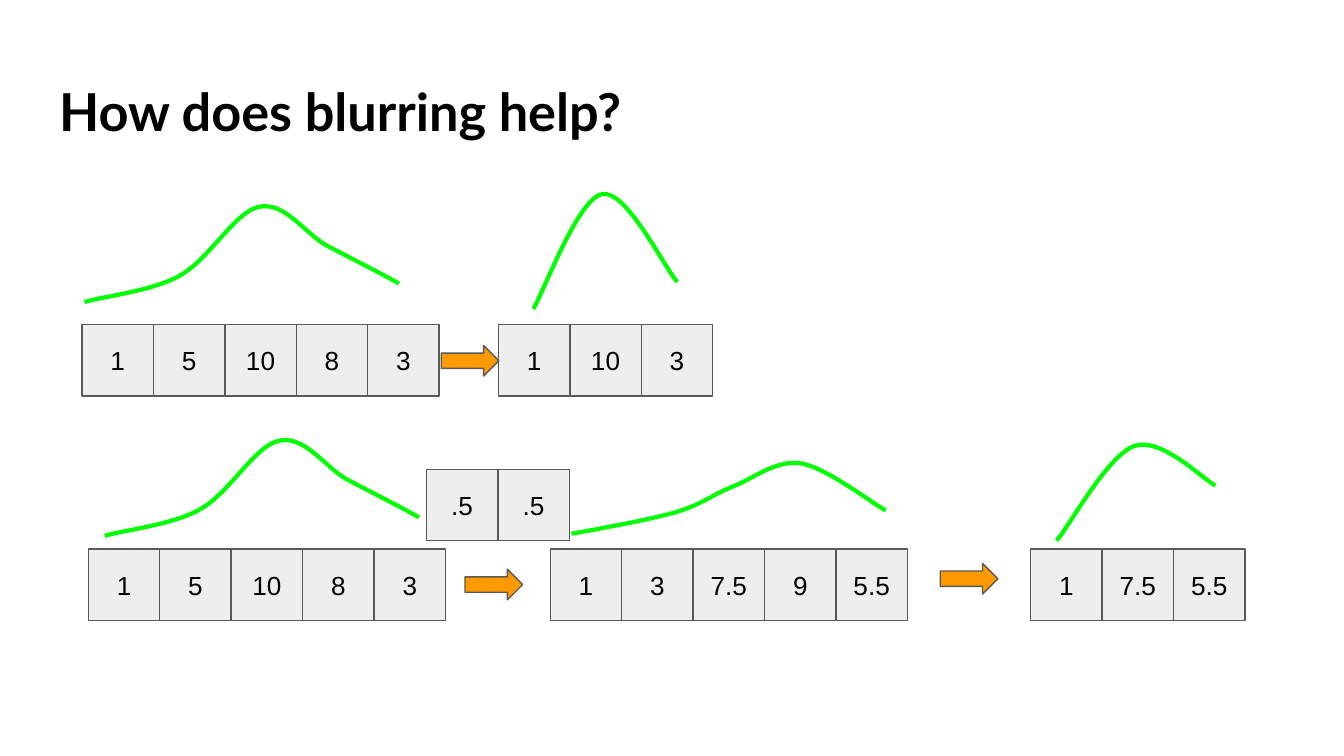
from lxml.etree import SubElement
from pptx import Presentation
from pptx.dml.color import RGBColor
from pptx.enum.shapes import MSO_SHAPE
from pptx.enum.text import MSO_ANCHOR, PP_ALIGN
from pptx.oxml.ns import qn
from pptx.util import Cm, Pt

CELL = 1.35
INSET = Cm(0.25)
FRAME = {"margin_left": INSET, "margin_right": INSET, "margin_top": INSET,
         "margin_bottom": INSET, "word_wrap": True}
TITLE_FONT = {"name": "Lato", "size": Pt(28), "bold": True}
CELL_FONT = {"name": "Arial", "size": Pt(14)}

SIGNAL = [1, 5, 10, 8, 3]
ROWS = [
    (1.55, 6.14, SIGNAL),
    (9.42, 6.14, [1, 10, 3]),
    (1.67, 10.38, SIGNAL),
    (8.06, 8.87, [".5", ".5"]),
    (10.4, 10.38, [1, 3, 7.5, 9, 5.5]),
    (19.48, 10.38, [1, 7.5, 5.5]),
]
ARROWS = [(8.34, 6.53), (8.79, 10.76), (17.77, 10.65)]

SIGNAL_CURVE = [(1.6, 5.71), (1.9, 5.61), (2.87, 5.51), (3.4, 5.21),
                (3.96, 4.9), (4.45, 3.99), (4.9, 3.91),
                (5.38, 3.81), (5.74, 4.39), (6.17, 4.64),
                (6.63, 4.88), (7.32, 5.23), (7.54, 5.36)]
SAMPLED_CURVE = [(10.08, 5.84), (10.29, 5.49), (10.92, 3.76), (11.38, 3.67),
                 (11.84, 3.58), (12.55, 5.05), (12.8, 5.33)]
BLURRED_CURVE = [(10.8, 10.09), (11.13, 10.03), (12.27, 9.83), (12.78, 9.68),
                 (13.28, 9.53), (13.46, 9.35), (13.87, 9.19),
                 (14.25, 9.04), (14.66, 8.69), (15.14, 8.76),
                 (15.62, 8.84), (16.46, 9.5), (16.74, 9.65)]
BLURRED_SAMPLED_CURVE = [(19.97, 10.22), (20.22, 9.93), (20.93, 8.61), (21.44, 8.43),
                         (21.95, 8.26), (22.71, 9.04), (22.97, 9.18)]


def color(value):
    """Return the colour of a hex string."""
    return RGBColor.from_string(value)


def apply(obj, values):
    """Set each attribute of obj from a dict."""
    for name, value in values.items():
        setattr(obj, name, value)


def set_line(sp, value, width):
    """Give a shape its outline and no shadow."""
    sp.shadow.inherit = False
    sp.line.color.rgb = color(value)
    sp.line.width = Pt(width)


def write(sp, text, font, align=PP_ALIGN.LEFT, anchor=MSO_ANCHOR.TOP):
    """Write one black paragraph into a shape."""
    tf = sp.text_frame
    apply(tf, {**FRAME, "vertical_anchor": anchor})
    p = tf.paragraphs[0]
    p.alignment = align
    r = p.add_run()
    r.text = text
    apply(r.font, font)
    r.font.color.rgb = color("000000")


def add_title(s, text):
    """Add the slide title."""
    sp = s.shapes.add_textbox(Cm(0.87), Cm(1.24), Cm(23.67), Cm(1.6))
    write(sp, text, TITLE_FONT)


def add_block(s, kind, x, y, w, h, fill):
    """Add a filled preset shape with a thin grey outline."""
    sp = s.shapes.add_shape(kind, Cm(x), Cm(y), Cm(w), Cm(h))
    sp.fill.solid()
    sp.fill.fore_color.rgb = color(fill)
    set_line(sp, "595959", 0.75)
    return sp


def add_cells(s, x, y, values):
    """Add a row of adjoining value cells."""
    for i, value in enumerate(values):
        sp = add_block(s, MSO_SHAPE.RECTANGLE, x + i * CELL, y, CELL, CELL, "EEEEEE")
        write(sp, str(value), CELL_FONT, PP_ALIGN.CENTER, MSO_ANCHOR.MIDDLE)


def bend(sp, points):
    """Turn the straight segments of a freeform into cubic Bezier segments."""
    for i, line in enumerate(list(sp.element.iter(qn("a:lnTo")))):
        line.tag = qn("a:cubicBezTo")
        line.remove(line[0])
        for x, y in points[3 * i + 1:3 * i + 4]:
            SubElement(line, qn("a:pt"), x=str(x - sp.left), y=str(y - sp.top))


def add_curve(s, curve, dx=0, dy=0):
    """Add a smooth green open curve, shifted by dx and dy."""
    points = [(Cm(x + dx), Cm(y + dy)) for x, y in curve]
    builder = s.shapes.build_freeform(*points[0])
    builder.add_line_segments(points[3::3], close=False)
    sp = builder.convert_to_shape()
    bend(sp, points)
    sp.fill.background()
    set_line(sp, "00FF00", 2.25)


def main():
    """Build and save the slide."""
    prs = Presentation()
    prs.slide_width, prs.slide_height = Cm(25.4), Cm(14.29)
    s = prs.slides.add_slide(prs.slide_layouts[6])
    add_title(s, "How does blurring help?")
    for row in ROWS:
        add_cells(s, *row)
    for x, y in ARROWS:
        add_block(s, MSO_SHAPE.RIGHT_ARROW, x, y, 1.09, 0.58, "FF9900")
    add_curve(s, SIGNAL_CURVE)
    add_curve(s, SIGNAL_CURVE, 0.38, 4.42)
    for curve in (SAMPLED_CURVE, BLURRED_CURVE, BLURRED_SAMPLED_CURVE):
        add_curve(s, curve)
    prs.save("out.pptx")


if __name__ == "__main__":
    main()
